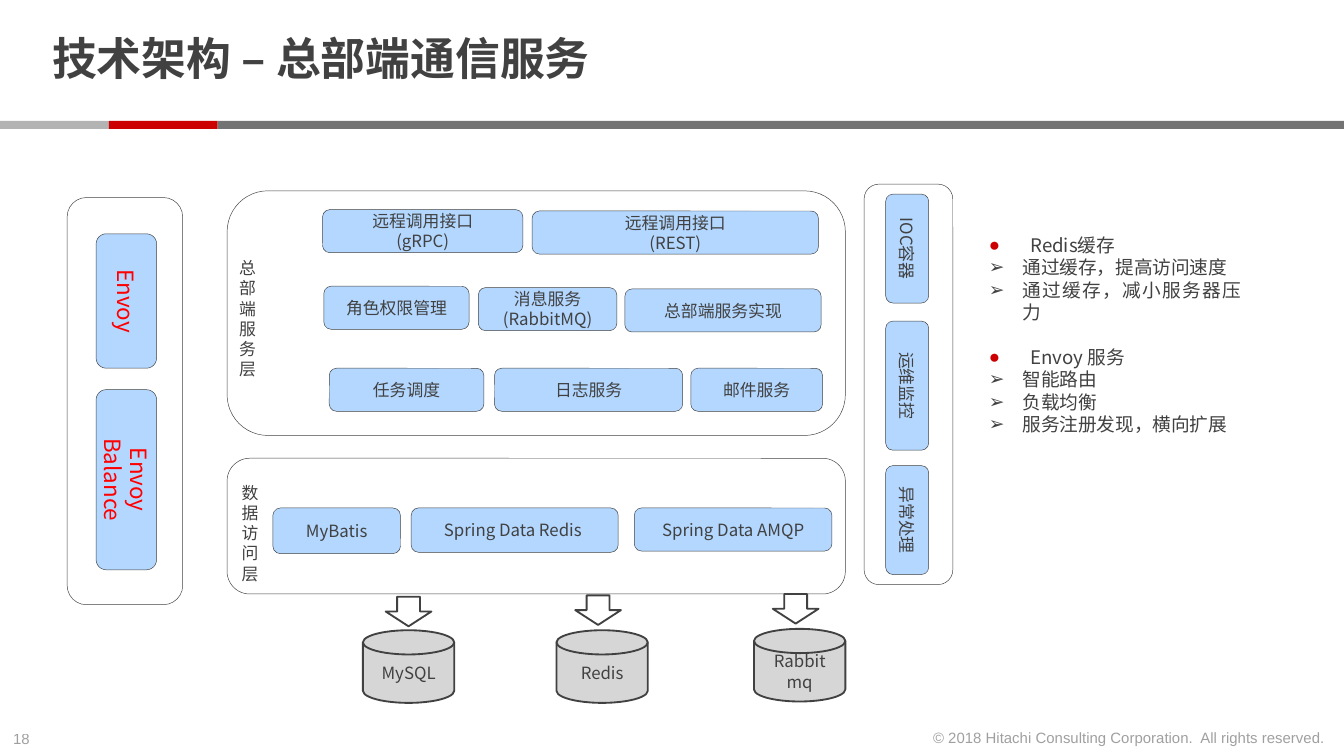
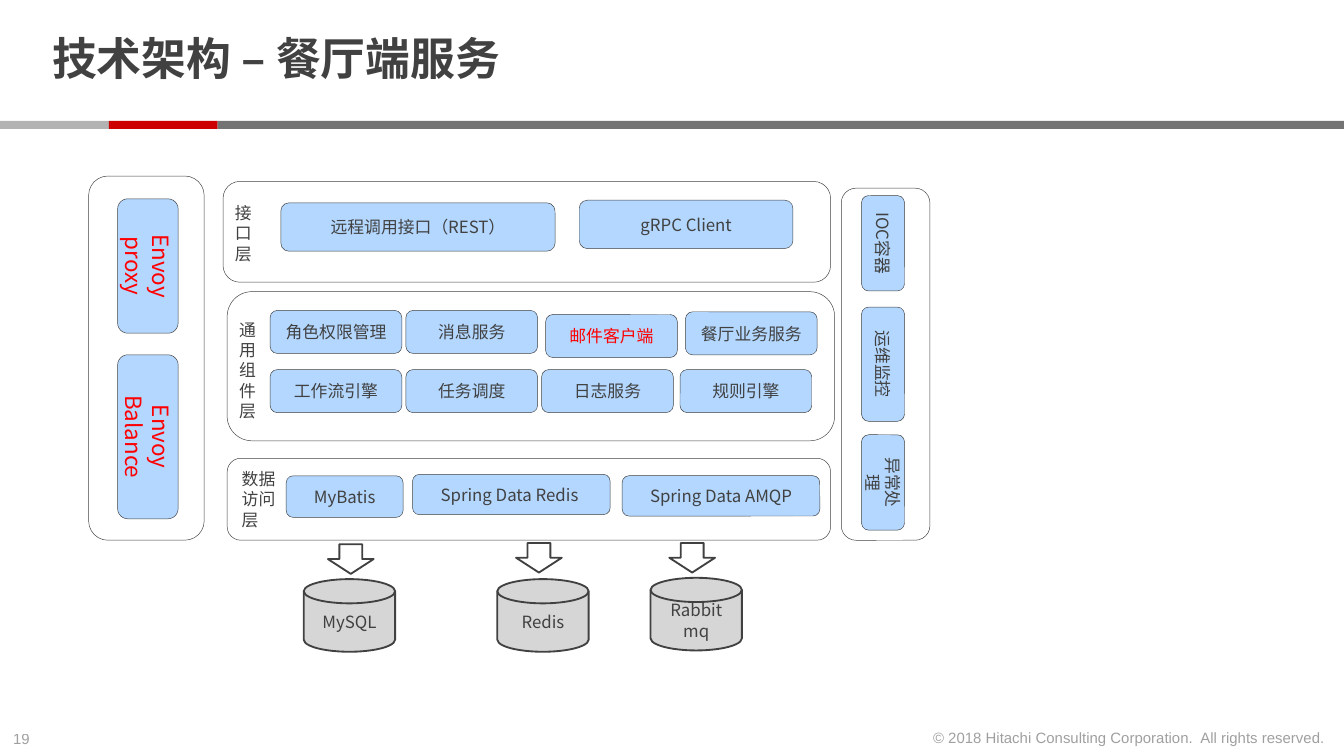
from lxml.etree import SubElement
from pptx import Presentation
from pptx.dml.color import RGBColor
from pptx.enum.shapes import MSO_SHAPE
from pptx.enum.text import MSO_ANCHOR, PP_ALIGN
from pptx.oxml.ns import qn
from pptx.util import Inches, Pt

INK, RED, BLUE, GREY = "414141", "FF0000", "B3D7FF", "D6D6D6"
ACCENT = "CC0000"
SANS = "Noto Sans CJK SC"
STRIPES = [(0, 0.81, "B3B3B3"), (0.81, 0.81, ACCENT), (1.62, 8.38, "737373")]
COPYRIGHT = "© 2018 Hitachi Consulting Corporation.\u00a0 All rights reserved."
UPRIGHT_GROUPS = [("envoys", 0.45, 12, RED), ("supports", 0.32, 9, INK)]

PAGES = [
    {
        "number": "18",
        "title": "技术架构 – 总部端通信服务",
        "panels": [(0.5, 1.47, 0.86, 3.03), (1.69, 1.42, 4.6, 1.82),
                   (1.69, 3.41, 4.6, 1.01), (6.43, 1.37, 0.66, 2.98)],
        "layers": [(1.68, 1.87, 0.35, 1.01, "总部端服务层"),
                   (1.7, 3.54, 0.35, 0.86, "数据访问层")],
        "services": [
            (2.4, 1.56, 1.49, 0.32, "远程调用接口\n(gRPC)", INK),
            (3.96, 1.57, 2.13, 0.32, "远程调用接口\n(REST)", INK),
            (2.41, 2.13, 1.08, 0.32, "角色权限管理", INK),
            (3.56, 2.14, 1.03, 0.32, "消息服务\n(RabbitMQ)", INK),
            (4.65, 2.15, 1.46, 0.32, "总部端服务实现", INK),
            (2.45, 2.74, 1.15, 0.32, "任务调度", INK),
            (3.68, 2.74, 1.4, 0.32, "日志服务", INK),
            (5.14, 2.74, 0.98, 0.32, "邮件服务", INK),
            (2.03, 3.78, 0.95, 0.34, "MyBatis", INK),
            (3.06, 3.78, 1.54, 0.33, "Spring Data Redis ", INK),
            (4.72, 3.78, 1.47, 0.32, "Spring Data AMQP", INK),
        ],
        "envoys": (0.94, [(2.24, 1, "Envoy"), (3.57, 1.34, "Envoy\nBalance")]),
        "supports": (6.75, [(1.85, 0.81, "IOC容器"), (2.87, 0.96, "运维监控"),
                            (3.87, 0.81, "异常处理")]),
        "stores": [(2.7, 4.69, "MySQL"), (4.14, 4.69, "Redis"), (5.61, 4.68, "Rabbitmq")],
        "arrows": [(2.93, 4.38), (4.34, 4.37), (5.81, 4.36)],
        "notes": [("Redis缓存", ["通过缓存，提高访问速度", "通过缓存，减小服务器压力"]),
                  ("Envoy 服务", ["智能路由", "负载均衡", "服务注册发现，横向扩展"])],
    },
    {
        "number": "19",
        "title": "技术架构 – 餐厅端服务",
        "panels": [(0.66, 1.31, 0.86, 2.71), (1.66, 1.35, 4.52, 0.75),
                   (1.69, 2.17, 4.52, 1.11), (1.69, 3.41, 4.49, 0.61),
                   (6.26, 1.4, 0.66, 2.62)],
        "layers": [(1.65, 1.46, 0.35, 0.56, "接口层"),
                   (1.68, 2.33, 0.35, 0.86, "通用组件层"),
                   (1.7, 3.44, 0.49, 0.56, "数据访问层")],
        "services": [
            (2.09, 1.51, 2.04, 0.36, "远程调用接口（REST）", INK),
            (4.31, 1.49, 1.59, 0.36, "gRPC Client", INK),
            (2.01, 2.31, 0.98, 0.32, "角色权限管理", INK),
            (3.02, 2.31, 0.98, 0.32, "消息服务", INK),
            (4.06, 2.34, 0.98, 0.32, "邮件客户端", RED),
            (5.1, 2.32, 0.98, 0.32, "餐厅业务服务", INK),
            (2.01, 2.75, 0.98, 0.32, "工作流引擎", INK),
            (3.02, 2.75, 0.98, 0.32, "任务调度", INK),
            (4.03, 2.75, 0.98, 0.32, "日志服务", INK),
            (5.06, 2.75, 0.98, 0.32, "规则引擎", INK),
            (2.13, 3.54, 0.87, 0.31, "MyBatis", INK),
            (3.07, 3.53, 1.47, 0.3, "Spring Data Redis ", INK),
            (4.63, 3.54, 1.47, 0.3, "Spring Data AMQP", INK),
        ],
        "envoys": (1.1, [(1.98, 1, "Envoy\nproxy"), (3.25, 1.22, "Envoy\nBalance")]),
        "supports": (6.57, [(1.81, 0.71, "IOC容器"), (2.71, 0.85, "运维监控"),
                            (3.59, 0.71, "异常处理")]),
        "stores": [(2.26, 4.31, "MySQL"), (3.7, 4.31, "Redis"), (4.84, 4.3, "Rabbitmq")],
        "arrows": [(2.5, 3.99), (3.9, 3.98), (5.04, 3.98)],
        "notes": [],
    },
]


def add_text(holder, text, size=9, color=INK, align=PP_ALIGN.LEFT, font=SANS):
    frame = holder.text_frame
    frame.word_wrap = True
    frame.text = text
    for paragraph in frame.paragraphs:
        paragraph.alignment = align
        for run in paragraph.runs:
            run.font.size = Pt(size)
            run.font.name = font
            run.font.color.rgb = RGBColor.from_string(color)
            SubElement(run.font._element, qn("a:ea"), typeface=font)
    return frame


def add_block(slide, kind, box, fill=None, line=0.25, text="", size=9, color=INK, turn=0):
    block = slide.shapes.add_shape(kind, *map(Inches, box))
    block.shadow.inherit = False
    block.rotation = turn
    if fill:
        block.fill.solid()
        block.fill.fore_color.rgb = RGBColor.from_string(fill)
    else:
        block.fill.background()
    if line:
        block.line.width = Pt(line)
        block.line.color.rgb = RGBColor.from_string(INK)
    else:
        block.line.fill.background()
    if text:
        frame = add_text(block, text, size, color, PP_ALIGN.CENTER)
        frame.vertical_anchor = MSO_ANCHOR.MIDDLE


deck = Presentation()
deck.slide_width, deck.slide_height = Inches(10), Inches(10 * 9 / 16)

for page in PAGES:
    slide = deck.slides.add_slide(deck.slide_layouts[6])

    for left, width, color in STRIPES:
        add_block(slide, MSO_SHAPE.RECTANGLE, (left, 0.9, width, 0.06), color, line=0)

    footers = [((0, 5.38, 0.34, 0.24), page["number"], PP_ALIGN.LEFT),
               ((6.8, 5.37, 3.16, 0.24), COPYRIGHT, PP_ALIGN.RIGHT)]
    for box, text, align in footers:
        footer = slide.shapes.add_textbox(*map(Inches, box))
        frame = add_text(footer, text, 8, INK, align, "Arial")
        frame.word_wrap = False
        for tint in footer._element.iter(qn("a:srgbClr")):
            SubElement(tint, qn("a:alpha"), val="50000")

    heading = slide.shapes.add_textbox(*map(Inches, (0.29, 0.06, 7.71, 0.8)))
    frame = add_text(heading, page["title"], 24)
    frame.margin_top = frame.margin_bottom = 0
    frame.vertical_anchor = MSO_ANCHOR.MIDDLE
    frame.paragraphs[0].line_spacing = 0.85
    frame.paragraphs[0].runs[0].font.bold = True

    for box in page["panels"]:
        add_block(slide, MSO_SHAPE.ROUNDED_RECTANGLE, box)

    for *box, text in page["layers"]:
        add_text(slide.shapes.add_textbox(*map(Inches, box)), text)

    for *box, text, color in page["services"]:
        add_block(slide, MSO_SHAPE.ROUNDED_RECTANGLE, box, BLUE, text=text, color=color)

    for group, thickness, size, color in UPRIGHT_GROUPS:
        center, members = page[group]
        for middle, length, text in members:
            box = (center - length / 2, middle - thickness / 2, length, thickness)
            add_block(slide, MSO_SHAPE.ROUNDED_RECTANGLE, box, BLUE,
                      text=text, size=size, color=color, turn=90)

    for left, top, text in page["stores"]:
        add_block(slide, MSO_SHAPE.FLOWCHART_MAGNETIC_DISK, (left, top, 0.68, 0.54),
                  GREY, line=1, text=text)

    for left, top in page["arrows"]:
        add_block(slide, MSO_SHAPE.RIGHT_ARROW, (left, top, 0.22, 0.34), line=1, turn=90)

    if page["notes"]:
        lines = []
        for topic, points in page["notes"]:
            lines += [(topic, True)] + [(point, False) for point in points]
        remarks = slide.shapes.add_textbox(*map(Inches, (7.26, 1.69, 2.07, 1.75)))
        frame = add_text(remarks, "\n".join(text for text, _ in lines), 10)
        for index, (paragraph, (_, is_topic)) in enumerate(zip(frame.paragraphs, lines)):
            indent = Inches(0.31 if is_topic else 0.25)
            paragraph.alignment = PP_ALIGN.LEFT if is_topic else PP_ALIGN.JUSTIFY
            if is_topic and index:
                paragraph.space_before = Pt(12)
            properties = paragraph._p.get_or_add_pPr()
            properties.set("marL", str(indent))
            properties.set("indent", str(-indent))
            if is_topic:
                bullet_color = SubElement(properties, qn("a:buClr"))
                SubElement(bullet_color, qn("a:srgbClr"), val=ACCENT)
            SubElement(properties, qn("a:buFont"), typeface="Arial")
            SubElement(properties, qn("a:buChar"), char="●" if is_topic else "➢")

deck.save("out.pptx")
